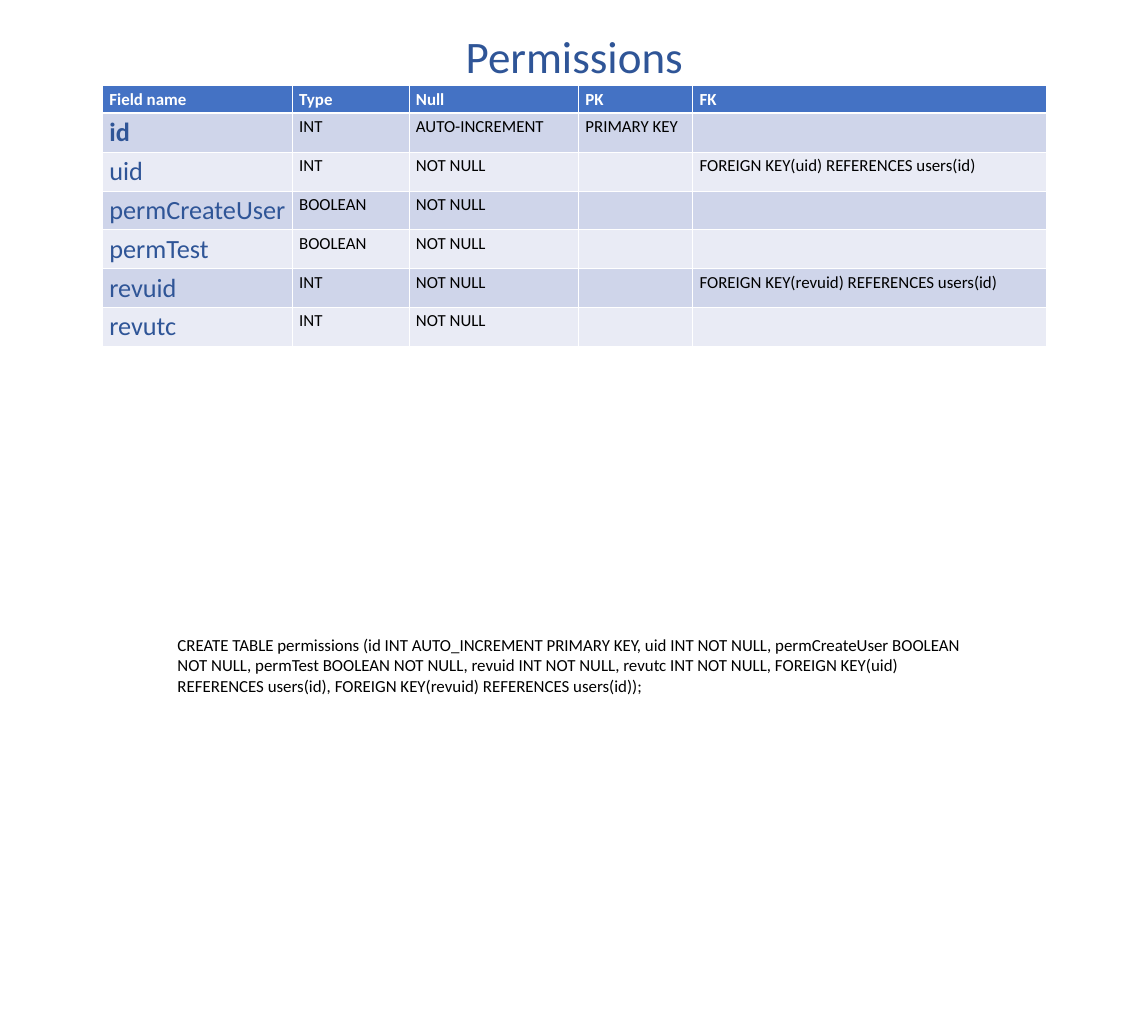
from lxml import etree
from pptx import Presentation
from pptx.dml.color import RGBColor
from pptx.enum.text import MSO_AUTO_SIZE, PP_ALIGN
from pptx.oxml.ns import qn
from pptx.util import Emu, Pt

LEFT, CENTER = PP_ALIGN.LEFT, PP_ALIGN.CENTER
GROW = MSO_AUTO_SIZE.SHAPE_TO_FIT_TEXT
EMU_PER_PX = 9144  # 100 px to the inch
BLANK_LAYOUT = 6

COLORS = {
    "header": "4472C4",
    "odd_row": "CFD5EA",
    "even_row": "E9EBF5",
    "field": "2F5597",
    "white": "FFFFFF",
    "black": "000000",
}

COLUMN_WIDTHS = [281, 173, 251, 169, 523]
HEADER_HEIGHT, ROW_HEIGHT = 40, 57
ROWS = [
    ["Field name", "Type", "Null", "PK", "FK"],
    ["id", "INT", "AUTO-INCREMENT", "PRIMARY KEY", ""],
    ["uid", "INT", "NOT NULL", "", "FOREIGN KEY(uid) REFERENCES users(id)"],
    ["permCreateUser", "BOOLEAN", "NOT NULL", "", ""],
    ["permTest", "BOOLEAN", "NOT NULL", "", ""],
    ["revuid", "INT", "NOT NULL", "", "FOREIGN KEY(revuid) REFERENCES users(id)"],
    ["revutc", "INT", "NOT NULL", "", ""],
]
STATEMENT = (
    "CREATE TABLE permissions (id INT AUTO_INCREMENT PRIMARY KEY, uid INT NOT NULL, "
    "permCreateUser BOOLEAN NOT NULL, permTest BOOLEAN NOT NULL, revuid INT NOT NULL, "
    "revutc INT NOT NULL, FOREIGN KEY(uid) REFERENCES users(id), "
    "FOREIGN KEY(revuid) REFERENCES users(id));"
)


def px(length):
    return Emu(length * EMU_PER_PX)


def write(frame, text, size=18, color="black", bold=False, align=LEFT):
    para = frame.paragraphs[0]
    para.alignment = align
    span = para.add_run()
    span.text = text
    span.font.name = "Calibri"
    span.font.size = Pt(size)
    span.font.bold = bold
    span.font.color.rgb = RGBColor.from_string(COLORS[color])


def set_borders(cell, top, bottom):
    """Draw white cell borders; top and bottom widths are in points."""
    properties = cell._tc.get_or_add_tcPr()
    for side, width in (("L", 1), ("R", 1), ("T", top), ("B", bottom)):
        line = etree.SubElement(properties, qn(f"a:ln{side}"), w=str(Pt(width)))
        fill = etree.SubElement(line, qn("a:solidFill"))
        etree.SubElement(fill, qn("a:srgbClr"), val=COLORS["white"])


class SlideBuilder:
    def __init__(self, page, font_sizes):
        self.page = page
        self.font_sizes = font_sizes

    def text(self, left, top, width, height, text, role, **style):
        box = self.page.shapes.add_textbox(px(left), px(top), px(width), px(height))
        box.text_frame.word_wrap = True
        box.text_frame.auto_size = GROW
        write(box.text_frame, text, size=self.font_sizes[role], **style)

    def table(self, left, top, widths, rows):
        height = HEADER_HEIGHT + ROW_HEIGHT * (len(rows) - 1)
        table = self.page.shapes.add_table(
            len(rows), len(widths), px(left), px(top), px(sum(widths)), px(height)
        ).table
        for column, width in zip(table.columns, widths):
            column.width = px(width)
        for index, values in enumerate(rows):
            table.rows[index].height = px(ROW_HEIGHT if index else HEADER_HEIGHT)
            for column, value in enumerate(values):
                self.cell(table.cell(index, column), value, index, column)

    def cell(self, cell, value, row, column):
        set_borders(cell, top=3 if row == 1 else 1, bottom=3 if row == 0 else 1)
        if row == 0:
            fill, role, color = "header", "body", "white"
        else:
            fill = "odd_row" if row % 2 else "even_row"
            role, color = ("field", "field") if column == 0 else ("body", "black")
        cell.fill.solid()
        cell.fill.fore_color.rgb = RGBColor.from_string(COLORS[fill])
        if value:
            bold = row == 0 or value == "id"
            write(cell.text_frame, value, self.font_sizes[role], color, bold)


def main():
    deck = Presentation()
    deck.slide_width, deck.slide_height = px(1700), px(1500)
    page = deck.slides.add_slide(deck.slide_layouts[BLANK_LAYOUT])
    builder = SlideBuilder(page, {"title": 48, "field": 28, "body": 18})
    builder.table(152, 127, COLUMN_WIDTHS, ROWS)
    builder.text(567, 37, 567, 91, "Permissions", "title", color="field", align=CENTER)
    builder.text(253, 935, 1185, 101, STATEMENT, "body")
    deck.save("out.pptx")


if __name__ == "__main__":
    main()
